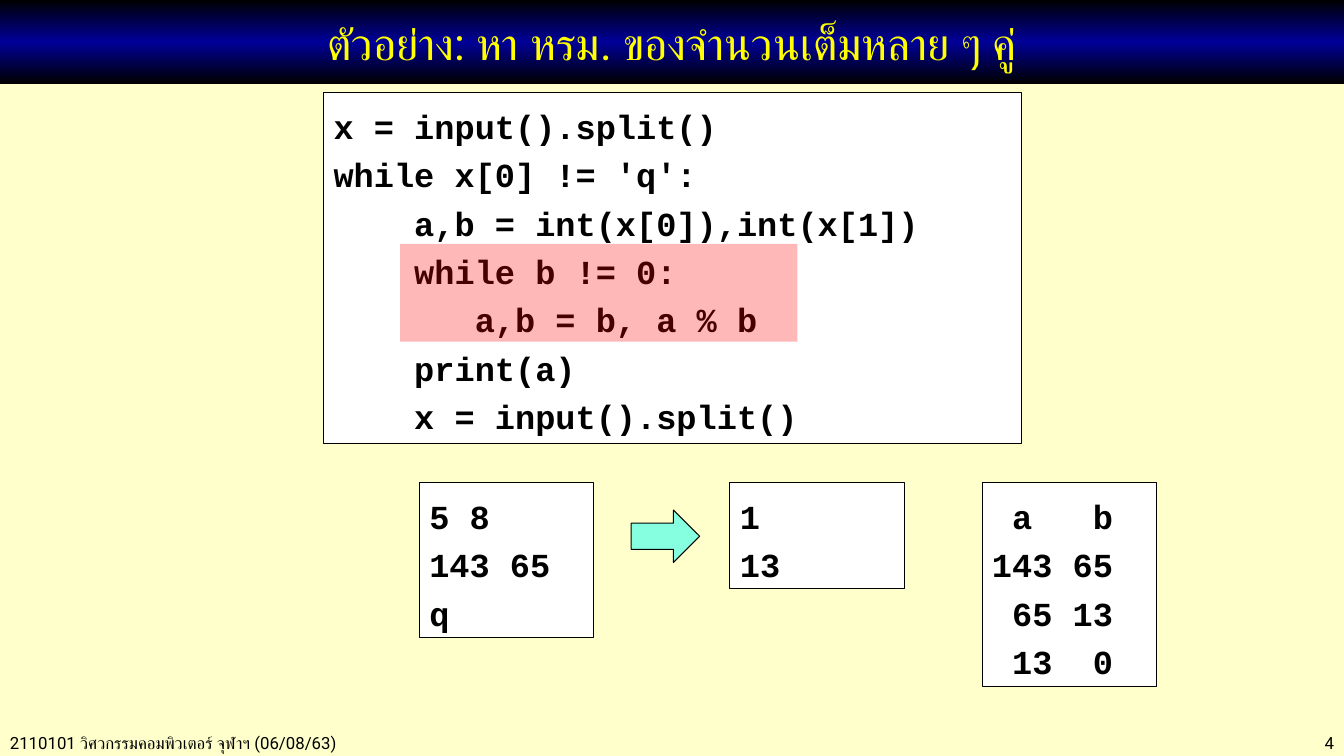
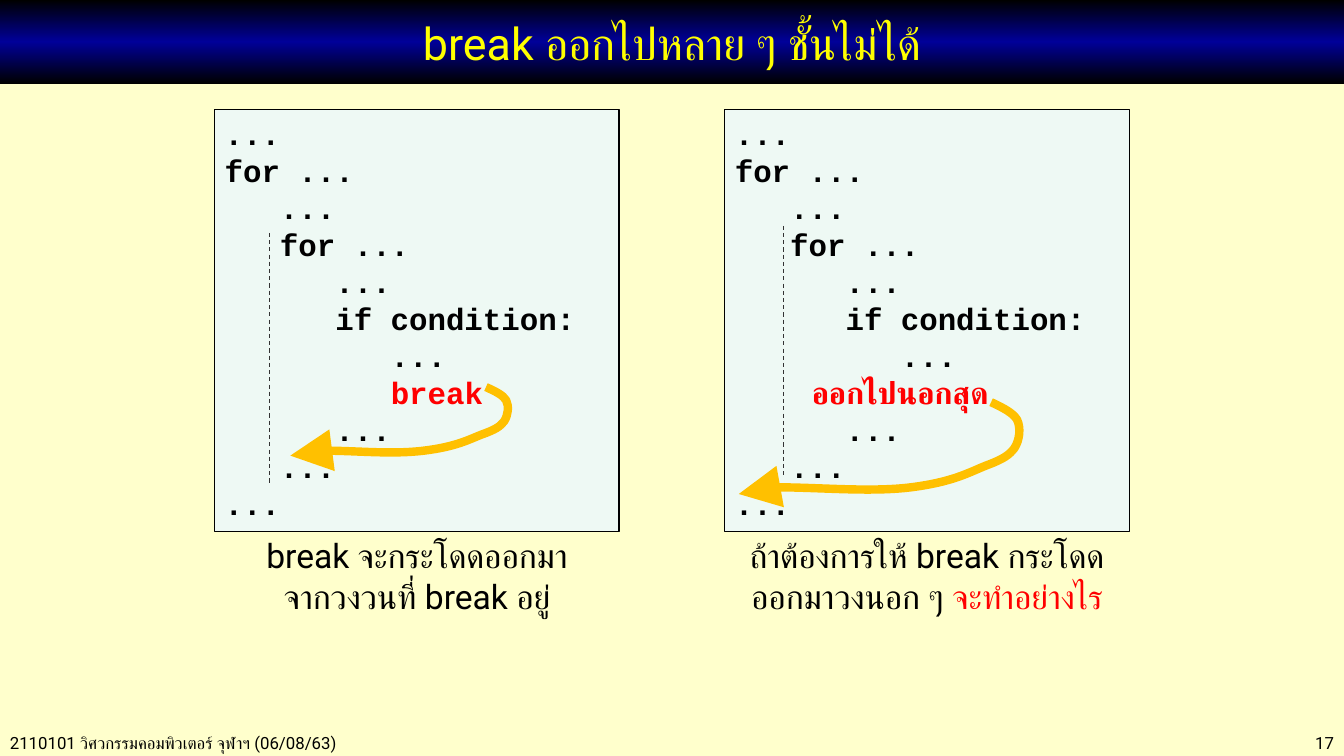
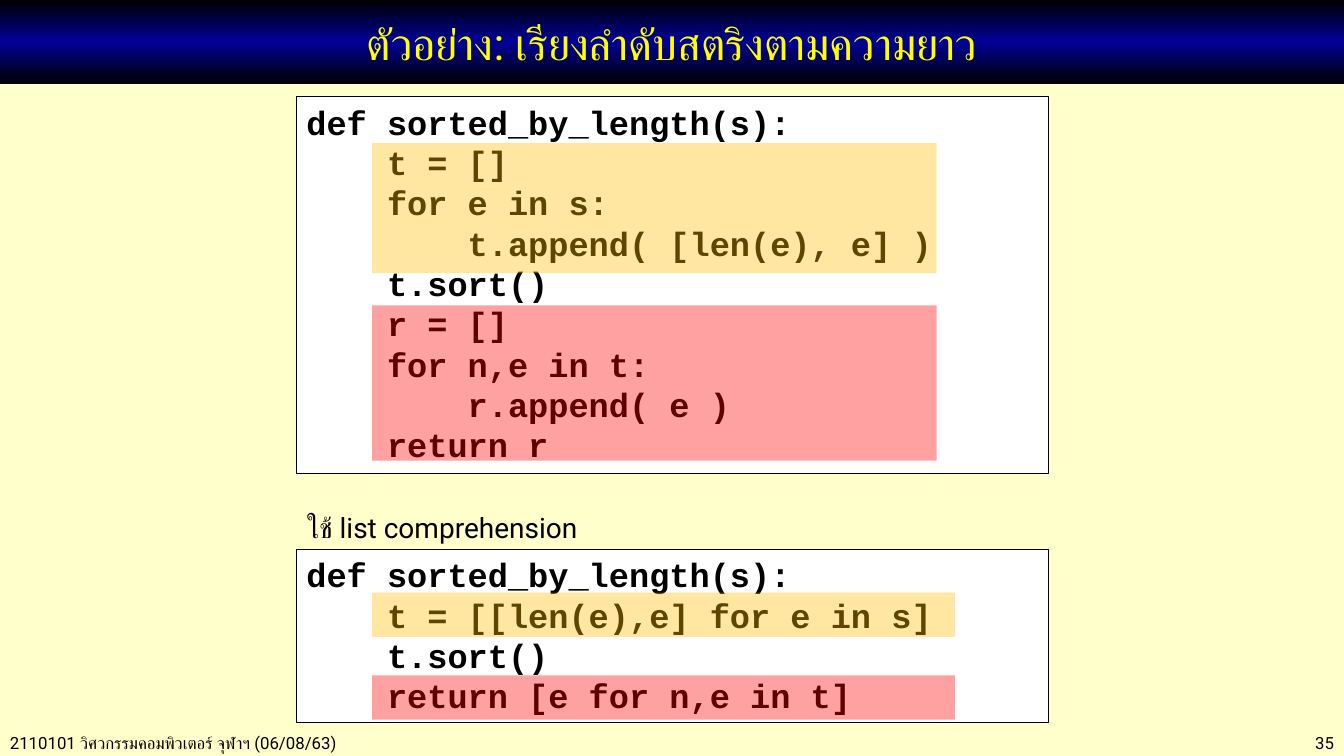
from copy import deepcopy

from lxml import etree
from pptx import Presentation
from pptx.dml.color import RGBColor
from pptx.enum import dml, shapes, text
from pptx.oxml import ns
from pptx.util import Inches, Pt

BLACK = RGBColor(0x00, 0x00, 0x00)
CHARCOAL = RGBColor(0x33, 0x33, 0x33)
WHITE = RGBColor(0xFF, 0xFF, 0xFF)
CREAM = RGBColor(0xFF, 0xFF, 0xCC)
NAVY = RGBColor(0x00, 0x00, 0x99)
YELLOW = RGBColor(0xFF, 0xFF, 0x00)
MINT = RGBColor(0xEE, 0xF9, 0xF4)
AQUA = RGBColor(0x85, 0xFF, 0xE0)
RED = RGBColor(0xFF, 0x00, 0x00)
AMBER = RGBColor(0xFF, 0xC0, 0x00)

BODY_FONT = "Roboto"
CODE_FONT = "Courier New"
SLIDE_W, SLIDE_H = 13.33, 7.5
FOOTER = "2110101 วิศวกรรมคอมพิวเตอร์ จุฬาฯ (06/08/63)"

JUMP_CURVES = [
    ((0.09, 0.04), (0.17, 0.08), (0.20, 0.13)),
    ((0.23, 0.19), (0.22, 0.28), (0.18, 0.34)),
    ((0.14, 0.39), (0.10, 0.42), (-0.04, 0.47)),
    ((-0.17, 0.52), (-0.29, 0.59), (-0.61, 0.63)),
    ((-0.93, 0.67), (-2.06, 0.58), (-1.94, 0.68)),
]


def box_of(*lengths):
    return [Inches(length) for length in lengths]


def write(frame, lines, size, font=BODY_FONT, color=BLACK, bold=False,
          align=text.PP_ALIGN.LEFT, anchor=text.MSO_ANCHOR.TOP, spacing=None, wrap=True):
    frame.word_wrap = wrap
    frame.vertical_anchor = anchor
    for index, line in enumerate(lines):
        paragraph = frame.paragraphs[0] if index == 0 else frame.add_paragraph()
        paragraph.alignment = align
        paragraph.line_spacing = spacing
        plain, *accents = [line] if isinstance(line, str) else line
        paragraph.text = plain
        for accent in accents:
            paragraph.add_run().text = accent
        for position, run in enumerate(paragraph.runs):
            run.font.name = font
            run.font.size = Pt(size)
            run.font.bold = bold
            run.font.color.rgb = RED if position else color


def add_label(slide, box, line, size, **style):
    label = slide.shapes.add_textbox(*box_of(*box))
    write(label.text_frame, [line], size, **style)


def add_block(slide, box, fill, outlined=True, kind=shapes.MSO_SHAPE.RECTANGLE):
    block = slide.shapes.add_shape(kind, *box_of(*box))
    block.shadow.inherit = False
    block.fill.solid()
    block.fill.fore_color.rgb = fill
    if outlined:
        block.line.color.rgb = BLACK
        block.line.width = Pt(0.75)
    else:
        block.line.fill.background()
    return block


def add_code(slide, box, lines, size=24, fill=WHITE, spacing=None):
    code = add_block(slide, box, fill)
    write(code.text_frame, lines, size, CODE_FONT, bold=True, spacing=spacing)


def add_highlight(slide, code_box, offset, color, opacity):
    dx, dy, width, height = offset
    band = add_block(slide, (code_box[0] + dx, code_box[1] + dy, width, height), color, False)
    tint = band.fill._xPr.find(".//" + ns.qn("a:srgbClr"))
    etree.SubElement(tint, ns.qn("a:alpha")).set("val", str(opacity * 1000))


def add_title_band(slide, title):
    band = add_block(slide, (0, 0, SLIDE_W, 0.83), NAVY, False)
    band.fill.gradient()
    band.fill.gradient_angle = 90
    first, last = band.fill.gradient_stops
    first.color.rgb, first.position = NAVY, 0.5
    last.color.rgb, last.position = BLACK, 1
    stops = band.fill._xPr.find(".//" + ns.qn("a:gsLst"))
    edge = deepcopy(stops[-1])
    edge.set("pos", "0")
    stops.insert(0, edge)
    band.text_frame.margin_top = Inches(0.07)
    write(band.text_frame, [title], 32, color=YELLOW,
          align=text.PP_ALIGN.CENTER, anchor=text.MSO_ANCHOR.MIDDLE)


def add_slide(deck, title, number):
    slide = deck.slides.add_slide(deck.slide_layouts[6])
    add_label(slide, (0, 7.22, 5.2, 0.3), FOOTER, 12)
    add_label(slide, (SLIDE_W - 1.84, 7.22, 1.84, 0.3), str(number), 12,
              align=text.PP_ALIGN.RIGHT)
    add_title_band(slide, title)
    return slide


def add_jump(slide, left, top, scale):
    points = [box_of(left + x * scale[0], top + y * scale[1])
              for curve in JUMP_CURVES for x, y in curve]
    builder = slide.shapes.build_freeform(*box_of(left, top))
    builder.add_line_segments(points, close=False)
    jump = builder.convert_to_shape()
    segments = list(jump._element.iter(ns.qn("a:lnTo")))
    for start in range(0, len(segments), 3):
        curve = etree.Element(ns.qn("a:cubicBezTo"))
        segments[start].addprevious(curve)
        for segment in segments[start:start + 3]:
            curve.append(segment[0])
            segment.getparent().remove(segment)
    jump.shadow.inherit = False
    jump.fill.background()
    jump.line.color.rgb = AMBER
    jump.line.width = Pt(6)
    head = etree.SubElement(jump.line._get_or_add_ln(), ns.qn("a:tailEnd"))
    for key, value in (("type", "triangle"), ("w", "lg"), ("len", "lg")):
        head.set(key, value)


def add_loop_guide(slide, x, top):
    guide = slide.shapes.add_connector(shapes.MSO_CONNECTOR.STRAIGHT,
                                       *box_of(x, top, x, top + 2.48))
    guide.line.color.rgb = CHARCOAL
    guide.line.width = Pt(0.75)
    guide.line.dash_style = dml.MSO_LINE.DASH
    etree.SubElement(guide._element.spPr, ns.qn("a:effectLst"))


def add_break_panel(slide, left, top, exit_word, jump, guide, caption, caption_width):
    width, height = 4.01, 4.18
    lines = ["...", "for ...", "   ...", "   for ...", "      ...", "      if condition:",
             "         ...", ("         ", exit_word), "      ...", "   ...", "..."]
    add_code(slide, (left, top, width, height), lines, 22, MINT)
    dx, dy, scale = jump
    add_jump(slide, left + dx, top + dy, scale)
    add_label(slide, (left + (width - caption_width) / 2, top + height - 0.01, caption_width, 1.31),
              caption, 24, align=text.PP_ALIGN.CENTER)
    add_loop_guide(slide, left + guide[0], top + guide[1])


def build_gcd(deck):
    slide = add_slide(deck, "ตัวอย่าง: หา หรม. ของจำนวนเต็มหลาย ๆ คู่", 4)
    program = (3.21, 0.92, 6.92, 3.48)
    add_code(slide, program, [
        "x = input().split()",
        "while x[0] != 'q':",
        "    a,b = int(x[0]),int(x[1])",
        "    while b != 0:",
        "       a,b = b, a % b",
        "    print(a)",
        "    x = input().split()",
    ], spacing=1.2)
    add_highlight(slide, program, (0.76, 1.5, 3.94, 0.97), RED, 28)
    for left, lines in [
        (4.16, ["5 8", "143 65", "q"]),
        (7.24, ["1", "13"]),
        (9.74, [" a   b", "143 65", " 65 13", " 13  0"]),
    ]:
        add_code(slide, (left, 4.79, 1.73, 0.08 + 0.485 * len(lines)), lines, spacing=1.2)
    add_block(slide, (6.26, 5.06, 0.68, 0.52), AQUA, kind=shapes.MSO_SHAPE.RIGHT_ARROW)


def build_break(deck):
    slide = add_slide(deck, "break ออกไปหลาย ๆ ชั้นไม่ได้", 17)
    add_break_panel(slide, 2.13, 1.09, "break", (2.69, 2.75, (1, 1)), (0.54, 1.22),
                    "break จะกระโดดออกมาจากวงวนที่ break อยู่", 3.39)
    add_break_panel(slide, 7.19, 1.09, "ออกไปนอกสุด", (2.64, 2.9, (1.29, 1.34)), (0.58, 1.15),
                    ("ถ้าต้องการให้ break กระโดดออกมาวงนอก ๆ ", "จะทำอย่างไร"), 3.76)


def build_sorting(deck):
    slide = add_slide(deck, "ตัวอย่าง: เรียงลำดับสตริงตามความยาว", 35)
    loops = (2.94, 0.96, 7.46, 3.74)
    comprehension = (2.94, 5.45, 7.46, 1.72)
    add_code(slide, loops, [
        "def sorted_by_length(s):",
        "    t = []",
        "    for e in s:",
        "        t.append( [len(e), e] )",
        "    t.sort()",
        "    r = []",
        "    for n,e in t:",
        "        r.append( e )",
        "    return r",
    ])
    add_code(slide, comprehension, [
        "def sorted_by_length(s):",
        "    t = [[len(e),e] for e in s]",
        "    t.sort()",
        "    return [e for n,e in t]",
    ])
    add_label(slide, (2.94, 5.02, 2.9, 0.44), "ใช้ list comprehension", 20,
              align=text.PP_ALIGN.CENTER, wrap=False)
    for code_box, offset, color in [
        (loops, (0.75, 0.46, 5.6, 1.29), AMBER),
        (comprehension, (0.75, 0.43, 5.78, 0.44), AMBER),
        (comprehension, (0.75, 1.25, 5.78, 0.44), RED),
        (loops, (0.75, 2.07, 5.6, 1.54), RED),
    ]:
        add_highlight(slide, code_box, offset, color, 37)


def main():
    deck = Presentation()
    deck.slide_width, deck.slide_height = box_of(SLIDE_W, SLIDE_H)
    backdrop = deck.slide_master.background.fill
    backdrop.solid()
    backdrop.fore_color.rgb = CREAM
    build_gcd(deck)
    build_break(deck)
    build_sorting(deck)
    deck.save("out.pptx")


if __name__ == "__main__":
    main()
